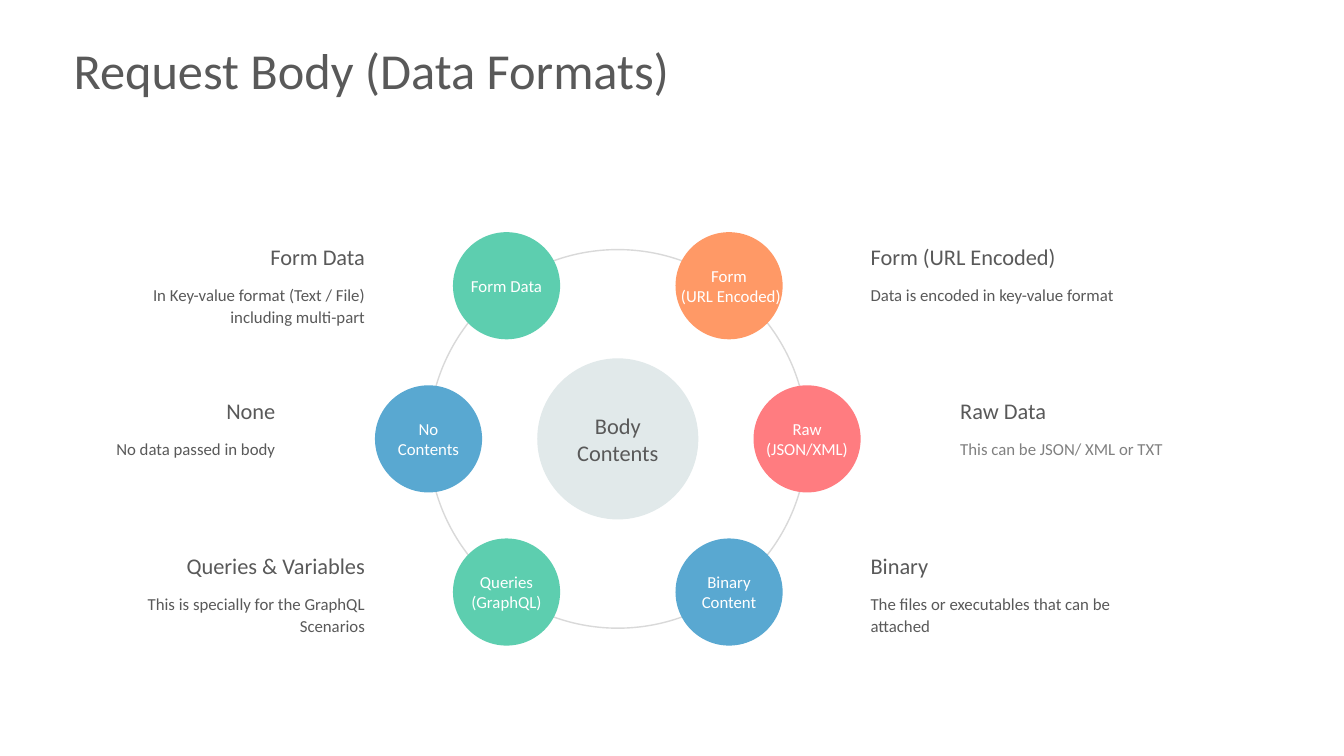
from math import cos, radians, sin
from lxml.etree import SubElement
from pptx import Presentation
from pptx.dml.color import RGBColor
from pptx.enum.shapes import MSO_SHAPE
from pptx.enum.text import MSO_ANCHOR, MSO_AUTO_SIZE, PP_ALIGN
from pptx.oxml.ns import qn
from pptx.util import Cm, Pt

TITLE = "Request Body (Data Formats)"
HUB = "Body\nContents"
FORMATS = [
    (-1, -1, "Form Data", "green", "Form Data",
     "In Key-value format (Text / File) including multi-part", "text"),
    (-1, 0, "No\nContents", "blue", "None", "No data passed in body", "text"),
    (-1, 1, "Queries\n(GraphQL)", "green", "Queries & Variables",
     "This is specially for the GraphQL Scenarios", "text"),
    (1, -1, "Form\n (URL Encoded)", "orange", "Form (URL Encoded)",
     "Data is encoded in key-value format", "text"),
    (1, 0, "Raw\n(JSON/XML)", "red", "Raw Data",
     "This can be JSON/ XML or TXT", "muted"),
    (1, 1, "Binary\nContent", "blue", "Binary",
     "The files or executables that can be attached", "text"),
]

THEME = {
    "font": "Calibri",
    "size": {"title": 36, "heading": 16, "body": 12},
    "color": {"text": "595959", "muted": "808080", "white": "FFFFFF",
              "ring": "D9D9D9", "hub": "E1E9EA", "green": "5DCEAF",
              "blue": "59A8D1", "orange": "FF9966", "red": "FF7C80"},
}

CX, CY = 15.57, 11.06
RING_R, HUB_R, NODE_R = 4.77, 2.03, 1.35
NODE_ANGLE = 54
ROW_STEP, HEADING_RISE, BODY_DROP = 3.9, 1.17, 1
CAPTION_W = 6.88
CAPTION_GAP = {-1: 6.12, 0: 8.38, 1: 6.12}


def color(name):
    return RGBColor.from_string(THEME["color"][name])


def write(tf, text, size, ink, align, **frame):
    frame = {"auto_size": MSO_AUTO_SIZE.NONE, "word_wrap": False, **frame}
    for key, value in frame.items():
        setattr(tf, key, value)
    tf.text = text
    for p in tf.paragraphs:
        p.alignment = align
        for r in p.runs:
            r.font.color.rgb = color(ink)
            for key, value in {"name": THEME["font"],
                               "size": Pt(THEME["size"][size])}.items():
                setattr(r.font, key, value)


def disc(x, y, radius, fill=None):
    sp = s.shapes.add_shape(MSO_SHAPE.OVAL, Cm(x - radius), Cm(y - radius),
                            Cm(2 * radius), Cm(2 * radius))
    sp.shadow.inherit = False
    if fill:
        sp.fill.solid()
        sp.fill.fore_color.rgb = color(fill)
        sp.line.fill.background()
    else:
        sp.fill.background()
        sp.line.color.rgb = color("ring")
        sp.line.width = Pt(1)
    return sp


def label(sp, text, size, ink):
    write(sp.text_frame, text, size, ink, PP_ALIGN.CENTER,
          vertical_anchor=MSO_ANCHOR.MIDDLE, margin_left=0, margin_right=0)


def caption(x, y, height, text, size, ink, align, spacing):
    box = s.shapes.add_textbox(Cm(x), Cm(y), Cm(CAPTION_W), Cm(height))
    write(box.text_frame, text, size, ink, align, word_wrap=True)
    box.text_frame.paragraphs[0].line_spacing = spacing


def soften(r):
    effects = SubElement(r.font._element, qn("a:effectLst"))
    r.font._element.find(qn("a:solidFill")).addnext(effects)
    shadow = SubElement(effects, qn("a:outerShdw"), blurRad=str(Cm(1.3)),
                        dist="0", dir="0", algn="ctr", rotWithShape="0")
    black = SubElement(shadow, qn("a:srgbClr"), val="000000")
    SubElement(black, qn("a:alpha"), val="20000")


prs = Presentation()
prs.slide_width, prs.slide_height = Cm(33.87), Cm(19.05)
s = prs.slides.add_slide(prs.slide_layouts[5])

title = s.shapes.title
for key, value in {"left": 1.6, "top": 0.86, "width": 24.4, "height": 1.8}.items():
    setattr(title, key, Cm(value))
write(title.text_frame, TITLE, "title", "text", PP_ALIGN.LEFT,
      word_wrap=True, vertical_anchor=MSO_ANCHOR.TOP)
soften(title.text_frame.paragraphs[0].runs[0])

disc(CX, CY, RING_R)
label(disc(CX, CY, HUB_R, "hub"), HUB, "heading", "text")

for side, row, name, fill, heading, body, ink in FORMATS:
    angle = radians(NODE_ANGLE * row)
    node = disc(CX + side * RING_R * cos(angle), CY + RING_R * sin(angle),
                NODE_R, fill)
    label(node, name, "body", "white")

    x = CX + side * CAPTION_GAP[row] - (CAPTION_W if side < 0 else 0)
    y = CY + row * ROW_STEP - HEADING_RISE
    align = PP_ALIGN.RIGHT if side < 0 else PP_ALIGN.LEFT
    caption(x, y, 0.94, heading, "heading", "text", align, 1.0)
    caption(x, y + BODY_DROP, 1.35, body, "body", ink, align, 1.1)

prs.save("out.pptx")
